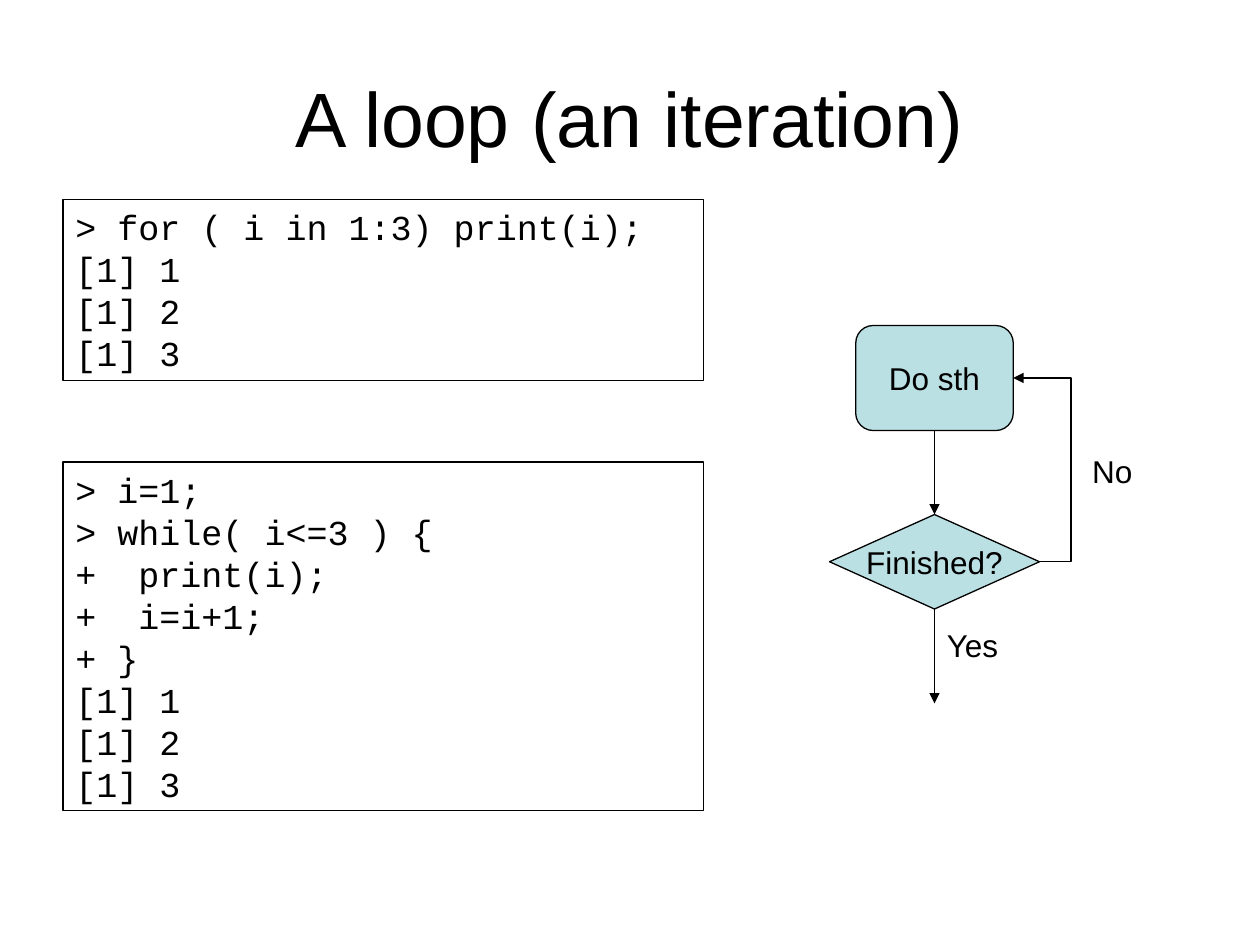
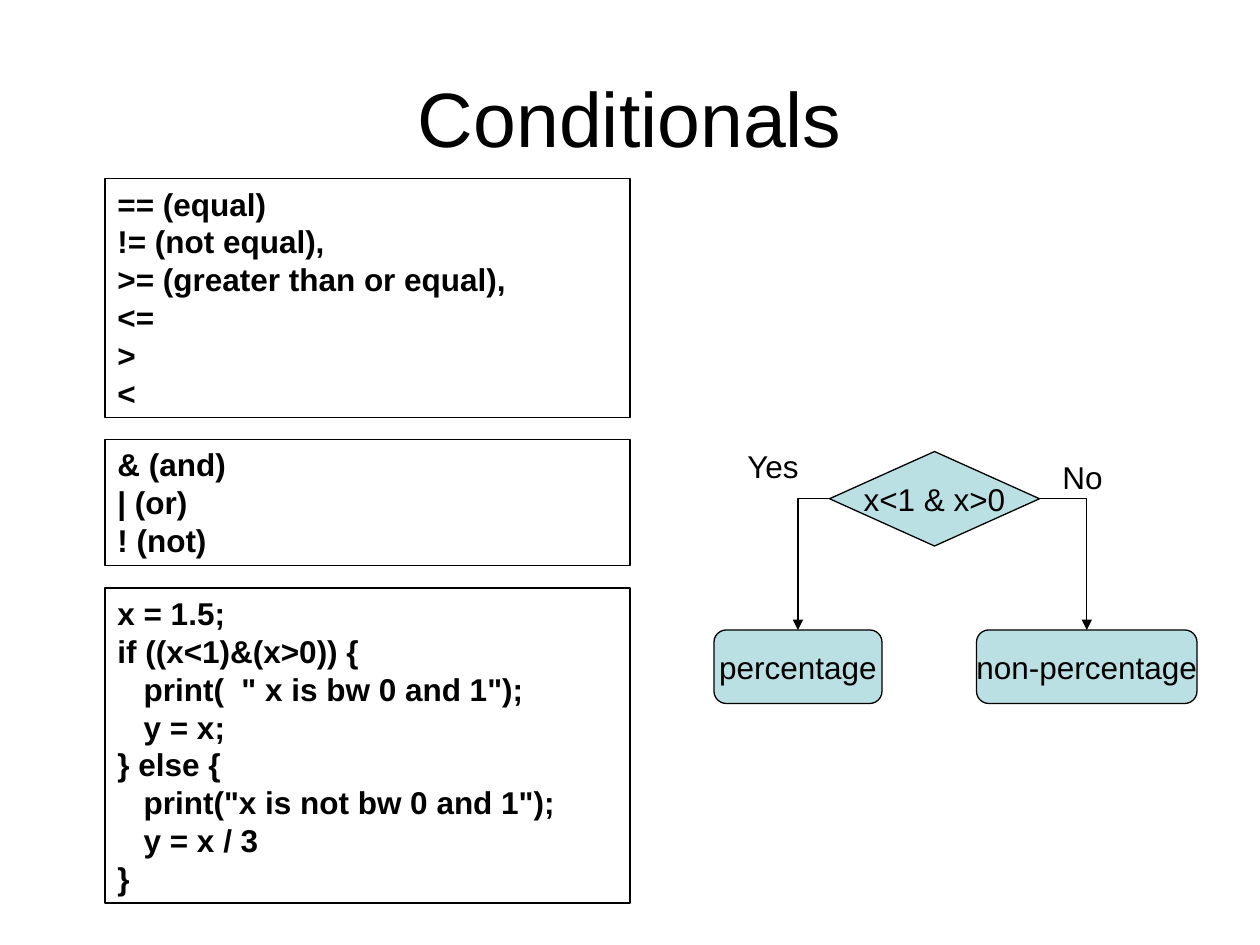
from lxml import etree
from pptx import Presentation
from pptx.dml.color import RGBColor
from pptx.enum.shapes import MSO_CONNECTOR, MSO_SHAPE
from pptx.enum.text import MSO_ANCHOR, PP_ALIGN
from pptx.oxml.ns import qn
from pptx.util import Pt

BLACK = RGBColor(0x00, 0x00, 0x00)
PALE_TEAL = RGBColor(0xBB, 0xE0, 0xE3)

LEFT, CENTER = PP_ALIGN.LEFT, PP_ALIGN.CENTER
TOP, MIDDLE = MSO_ANCHOR.TOP, MSO_ANCHOR.MIDDLE
RECTANGLE = MSO_SHAPE.RECTANGLE
PROCESS = MSO_SHAPE.FLOWCHART_ALTERNATE_PROCESS
DECISION = MSO_SHAPE.FLOWCHART_DECISION
STRAIGHT, ELBOW = MSO_CONNECTOR.STRAIGHT, MSO_CONNECTOR.ELBOW

TITLE_FONT = {"name": "Arial", "size": Pt(44)}
LABEL_FONT = {"name": "Arial", "size": Pt(18)}
BOLD_FONT = {**LABEL_FONT, "bold": True}
CODE_FONT = {"name": "Courier New", "size": Pt(20)}
FRAME = {"margin_left": Pt(7.2), "margin_right": Pt(7.2),
         "margin_top": Pt(3.6), "margin_bottom": Pt(3.6)}
LINE_HEIGHT = 1.2
LINE_WIDTH = Pt(0.75)
CODE_INDENT = Pt(15)

FOR_LOOP = """> for ( i in 1:3) print(i);
[1] 1
[1] 2
[1] 3"""
WHILE_LOOP = """> i=1;
> while( i<=3 ) {
+  print(i);
+  i=i+1;
+ }
[1] 1
[1] 2
[1] 3"""
COMPARISONS = """== (equal)
!= (not equal),
>= (greater than or equal),
<=
>
<"""
LOGIC = """& (and)
| (or)
! (not)"""
IF_ELSE = """x = 1.5;
if ((x<1)&(x>0)) {
\tprint(  " x is bw 0 and 1");
\ty = x;
} else {
\tprint("x is not bw 0 and 1");
\ty = x / 3
}"""


def apply(target, values):
    for name, value in values.items():
        setattr(target, name, value)


def points(*lengths):
    return [Pt(length) for length in lengths]


class SlideBuilder:
    def __init__(self, presentation):
        self.presentation = presentation
        self.slide = None

    def start(self, title):
        layout = self.presentation.slide_layouts[5]
        self.slide = self.presentation.slides.add_slide(layout)
        shape = self.slide.shapes.title
        apply(shape, dict(zip(("left", "top", "width", "height"),
                              points(36, 21.6, 648, 90))))
        self.fill_text(shape, title, TITLE_FONT, CENTER, MIDDLE, True)

    def fill_text(self, shape, text, font, alignment, anchor, wrap):
        frame = shape.text_frame
        apply(frame, {**FRAME, "vertical_anchor": anchor, "word_wrap": wrap})
        for index, line in enumerate(text.split("\n")):
            paragraph = frame.paragraphs[0] if index == 0 else frame.add_paragraph()
            apply(paragraph, {"alignment": alignment,
                              "line_spacing": Pt(font["size"].pt * LINE_HEIGHT)})
            if line.startswith("\t"):
                paragraph._p.get_or_add_pPr().set("marL", str(int(CODE_INDENT)))
            run = paragraph.add_run()
            run.text = line.strip("\t")
            apply(run.font, font)
            run.font.color.rgb = BLACK

    def outline(self, kind, box):
        shape = self.slide.shapes.add_shape(kind, *points(*box))
        shape.shadow.inherit = False
        shape.line.color.rgb = BLACK
        shape.line.width = LINE_WIDTH
        return shape

    def text_panel(self, text, box, font):
        shape = self.outline(RECTANGLE, box)
        shape.fill.background()
        self.fill_text(shape, text, font, LEFT, TOP, True)

    def node(self, kind, text, box):
        shape = self.outline(kind, box)
        shape.fill.solid()
        shape.fill.fore_color.rgb = PALE_TEAL
        self.fill_text(shape, text, LABEL_FONT, CENTER, MIDDLE, False)

    def label(self, text, left, top):
        shape = self.slide.shapes.add_textbox(*points(left, top, 45, 28.8))
        self.fill_text(shape, text, LABEL_FONT, LEFT, TOP, True)

    def arrow(self, start, end, kind=STRAIGHT):
        connector = self.slide.shapes.add_connector(kind, *points(*start, *end))
        connector.line.color.rgb = BLACK
        connector.line.width = LINE_WIDTH
        properties = connector._element.spPr
        etree.SubElement(properties.find(qn("a:ln")), qn("a:tailEnd"),
                         type="triangle")
        etree.SubElement(properties, qn("a:effectLst"))
        return properties.find(qn("a:prstGeom"))

    def corner_arrow(self, start, end):
        self.arrow(start, end, ELBOW).set("prst", "bentConnector2")

    def return_arrow(self, start, end, bend):
        guides = self.arrow(start, end, ELBOW).find(qn("a:avLst"))
        etree.SubElement(guides, qn("a:gd"), name="adj1",
                         fmla=f"val {round(bend * 100000)}")


def add_loop_slide(builder):
    builder.start("A loop (an iteration)")
    builder.text_panel(FOR_LOOP, (36, 114, 366, 103.6), CODE_FONT)
    builder.text_panel(WHILE_LOOP, (36, 264, 366, 199.4), CODE_FONT)
    builder.node(PROCESS, "Do sth", (489, 186, 90, 60))
    builder.node(DECISION, "Finished?", (474, 294, 120, 54))
    builder.arrow((534, 246), (534, 294))
    builder.return_arrow((594, 321), (579, 216), -1.2)
    builder.label("No", 617, 255)
    builder.arrow((534, 348), (534, 402))
    builder.label("Yes", 534, 354)


def add_conditionals_slide(builder):
    builder.start("Conditionals")
    for text, top, height in ((COMPARISONS, 102, 136.8), (LOGIC, 251, 72),
                              (IF_ELSE, 336, 180)):
        builder.text_panel(text, (60, top, 300, height), BOLD_FONT)
    builder.node(DECISION, "x<1 & x>0", (474, 258, 120, 54))
    builder.label("Yes", 420, 252)
    builder.label("No", 600, 258)
    for text, left, width, exit_x in (("percentage", 408, 96, 474),
                                      ("non-percentage", 558, 126, 594)):
        builder.node(PROCESS, text, (left, 360, width, 42))
        builder.corner_arrow((exit_x, 285), (left + width / 2, 360))


def main():
    presentation = Presentation()
    presentation.slide_width, presentation.slide_height = points(720, 540)
    builder = SlideBuilder(presentation)
    add_loop_slide(builder)
    add_conditionals_slide(builder)
    presentation.save("out.pptx")


if __name__ == "__main__":
    main()
